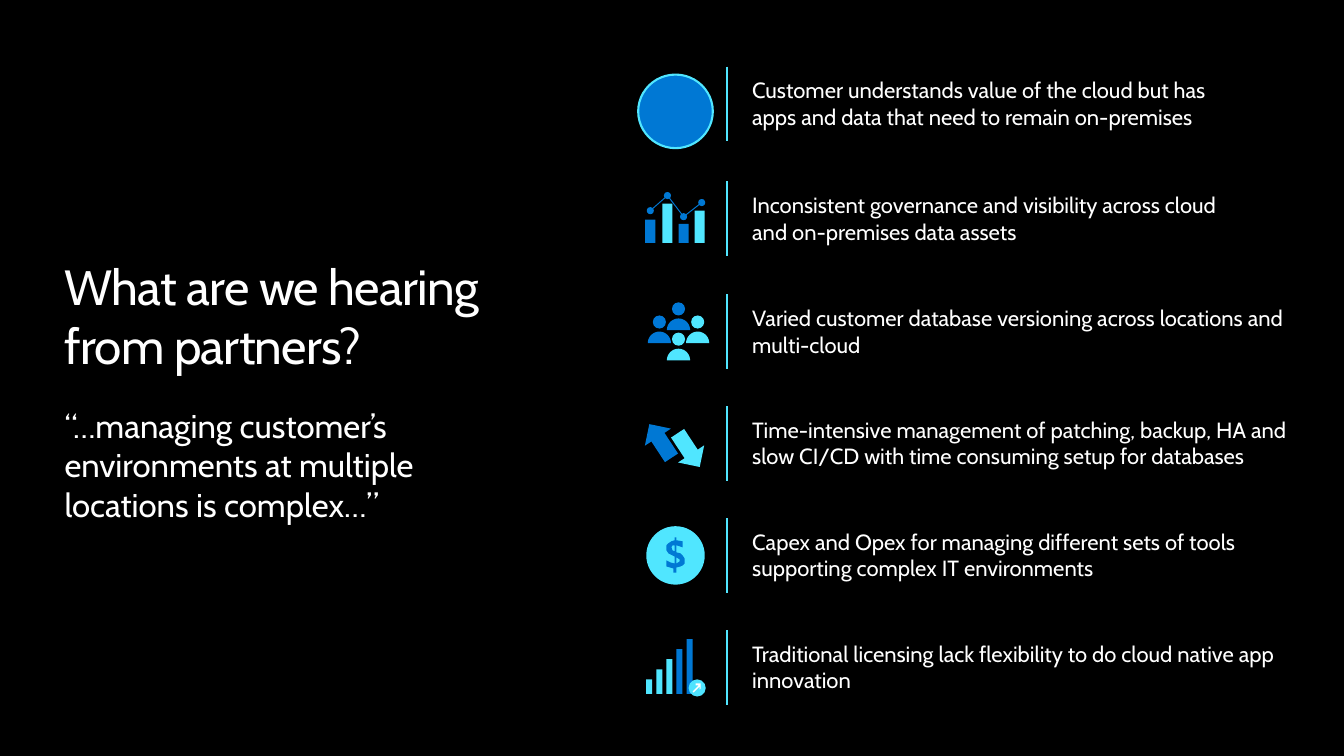
from dataclasses import dataclass
from itertools import pairwise
from math import atan2, cos, degrees, hypot, pi, sin

from lxml.etree import SubElement
from pptx import Presentation
from pptx.dml.color import RGBColor
from pptx.enum.shapes import MSO_CONNECTOR as Connector, MSO_SHAPE as Preset
from pptx.enum.text import MSO_ANCHOR as Anchor
from pptx.oxml.ns import qn
from pptx.util import Inches, Pt

BLACK = RGBColor(0x00, 0x00, 0x00)
WHITE = RGBColor(0xFF, 0xFF, 0xFF)
BLUE = RGBColor(0x00, 0x78, 0xD4)
PEOPLE_BLUE = RGBColor(0x00, 0x78, 0xD7)
CYAN = RGBColor(0x50, 0xE6, 0xFF)
BADGE_CYAN = RGBColor(0x4F, 0xE4, 0xFF)
FONT = "Cabin"

Point = tuple[float, float]


@dataclass
class Insight:
    text: str
    rule_top: float
    width: float


@dataclass
class Mark:
    preset: Preset
    left: float
    top: float
    width: float
    height: float
    color: RGBColor
    rotation: float = 0


@dataclass
class Person:
    center: float
    head_top: float
    color: RGBColor


INSIGHTS = [
    Insight("Customer understands value of the cloud but has apps and data "
            "that need to remain on-premises", 0.66, 6.28),
    Insight("Inconsistent governance and visibility across cloud and "
            "on-premises data assets", 1.8, 6.09),
    Insight("Varied customer database versioning across locations and "
            "multi-cloud", 2.92, 7.02),
    Insight("Time-intensive management of patching, backup, HA and slow CI/CD "
            "with time consuming setup for databases", 4.03, 7.01),
    Insight("Capex and Opex for managing different sets of tools supporting "
            "complex IT environments", 5.14, 6.39),
    Insight("Traditional licensing lack flexibility to do cloud native app "
            "innovation", 6.25, 7.02),
]
PEOPLE = [
    Person(6.92, 3.13, CYAN), Person(6.73, 3.0, PEOPLE_BLUE),
    Person(6.73, 3.3, CYAN), Person(6.54, 3.13, PEOPLE_BLUE),
]
TREND_BARS = [(6.4, 2.18, BLUE), (6.57, 2.02, CYAN), (6.73, 2.22, BLUE), (6.89, 2.09, CYAN)]
TREND_DOTS = [(6.45, 2.09), (6.62, 1.94), (6.78, 2.15), (6.96, 2.01)]
DOLLAR = [
    [(6.77, 5.51), (6.75, 5.49), (6.71, 5.48), (6.71, 5.41), (6.77, 5.43),
     (6.77, 5.37), (6.71, 5.36), (6.71, 5.33), (6.69, 5.33), (6.69, 5.36),
     (6.66, 5.37), (6.63, 5.39), (6.61, 5.41), (6.61, 5.46), (6.63, 5.49),
     (6.69, 5.52), (6.69, 5.59), (6.65, 5.58), (6.61, 5.56), (6.61, 5.62),
     (6.68, 5.64), (6.68, 5.68), (6.71, 5.68), (6.71, 5.63), (6.75, 5.62),
     (6.77, 5.61), (6.79, 5.59), (6.79, 5.54)],
    [(6.69, 5.47), (6.67, 5.46), (6.66, 5.43), (6.67, 5.41), (6.69, 5.41)],
    [(6.71, 5.59), (6.71, 5.53), (6.74, 5.55), (6.74, 5.57)],
]
GROWTH_ARROW = [
    (6.9, 6.78), (6.9, 6.8), (6.93, 6.8), (6.87, 6.86), (6.88, 6.87),
    (6.94, 6.81), (6.94, 6.84), (6.95, 6.83), (6.95, 6.78),
]


def add_text(page, text: str, left: float, top: float, width: float, height: float, *,
             size: float, margins=(0, 0, 0, 0), anchor=Anchor.TOP, spacing: int = 0) -> None:
    box = page.shapes.add_textbox(Inches(left), Inches(top), Inches(width), Inches(height))
    frame = box.text_frame
    frame.word_wrap = True
    frame.vertical_anchor = anchor
    (frame.margin_left, frame.margin_top,
     frame.margin_right, frame.margin_bottom) = (Inches(side) for side in margins)
    span = frame.paragraphs[0].add_run()
    span.text = text
    span.font.name, span.font.size = FONT, Pt(size)
    span.font.color.rgb = WHITE
    if spacing:
        span.font._element.set("spc", str(spacing))


def paint(shape, color: RGBColor) -> None:
    shape.shadow.inherit = False
    shape.fill.solid()
    shape.fill.fore_color.rgb = color
    shape.line.fill.background()


def add_mark(page, mark: Mark):
    shape = page.shapes.add_shape(mark.preset, Inches(mark.left), Inches(mark.top),
                                  Inches(mark.width), Inches(mark.height))
    shape.rotation = mark.rotation
    paint(shape, mark.color)
    return shape


def add_outline(page, contours: list[list[Point]], color: RGBColor) -> None:
    scaled = [[(Inches(x), Inches(y)) for x, y in contour] for contour in contours]
    builder = page.shapes.build_freeform(*scaled[0][0])
    for index, (start, *rest) in enumerate(scaled):
        if index:
            builder.move_to(*start)
        builder.add_line_segments(rest, close=True)
    paint(builder.convert_to_shape(), color)


def add_insight(page, insight: Insight) -> None:
    top = insight.rule_top
    add_text(page, insight.text, 6.19, top - 0.12, insight.width, 0.97, size=15.7,
             margins=(1.27, 0.16, 0.2, 0.16), anchor=Anchor.MIDDLE)
    rule = page.shapes.add_connector(Connector.STRAIGHT, Inches(7.21), Inches(top),
                                     Inches(7.21), Inches(top + 0.74))
    rule.line.color.rgb = CYAN
    rule.line.width = Pt(1)
    SubElement(rule._element.spPr, qn("a:effectLst"))


def add_trend_icon(page) -> None:
    for left, top, color in TREND_BARS:
        add_mark(page, Mark(Preset.RECTANGLE, left, top, 0.1, 2.41 - top, color))
    for x, y in TREND_DOTS:
        add_mark(page, Mark(Preset.OVAL, x - 0.035, y - 0.035, 0.07, 0.07, BLUE))
    for (x1, y1), (x2, y2) in pairwise(TREND_DOTS):
        length = hypot(x2 - x1, y2 - y1)
        add_mark(page, Mark(Preset.RECTANGLE, (x1 + x2 - length) / 2, (y1 + y2) / 2 - 0.005,
                            length, 0.01, BLUE, degrees(atan2(y2 - y1, x2 - x1))))


def add_person(page, person: Person) -> None:
    add_mark(page, Mark(Preset.OVAL, person.center - 0.065, person.head_top,
                        0.13, 0.13, person.color))
    base = person.head_top + 0.275
    arc = [(person.center - 0.115 * cos(pi * step / 24), base - 0.115 * sin(pi * step / 24))
           for step in range(25)]
    add_outline(page, [arc], person.color)


def add_growth_icon(page) -> None:
    for index in range(5):
        top = 6.74 - 0.1 * index
        add_mark(page, Mark(Preset.RECTANGLE, 6.41 + 0.1 * index, top, 0.06, 6.885 - top,
                            CYAN if index < 3 else BLUE))
    add_mark(page, Mark(Preset.OVAL, 6.83, 6.74, 0.17, 0.17, BADGE_CYAN))
    add_outline(page, [GROWTH_ARROW], WHITE)


def main() -> None:
    deck = Presentation()
    deck.slide_width, deck.slide_height = Inches(13.33), Inches(7.5)
    page = deck.slides.add_slide(deck.slide_layouts[6])
    page.background.fill.solid()
    page.background.fill.fore_color.rgb = BLACK

    # Heading and quote
    add_text(page, "What are we hearing from partners?", 0.64, 2.54, 4.56, 1.19,
             size=35.3, spacing=-50)
    add_text(page, "“…managing customer’s environments at multiple locations is complex…”",
             0.64, 4.02, 4.73, 1.19, size=23.5)

    # Insights with their rules
    for insight in INSIGHTS:
        add_insight(page, insight)

    # Icons, from top to bottom
    disc = add_mark(page, Mark(Preset.OVAL, 6.33, 0.74, 0.74, 0.73, BLUE))
    disc.line.color.rgb = CYAN
    disc.line.width = Pt(1.5)
    add_trend_icon(page)
    for person in PEOPLE:
        add_person(page, person)
    add_mark(page, Mark(Preset.LEFT_ARROW, 6.35, 4.22, 0.4, 0.31, BLUE, 56.7))
    add_mark(page, Mark(Preset.LEFT_ARROW, 6.63, 4.31, 0.4, 0.31, CYAN, 236.7))
    add_mark(page, Mark(Preset.OVAL, 6.41, 5.22, 0.58, 0.58, CYAN))
    add_outline(page, DOLLAR, BLUE)
    add_growth_icon(page)

    deck.save("out.pptx")


if __name__ == "__main__":
    main()
